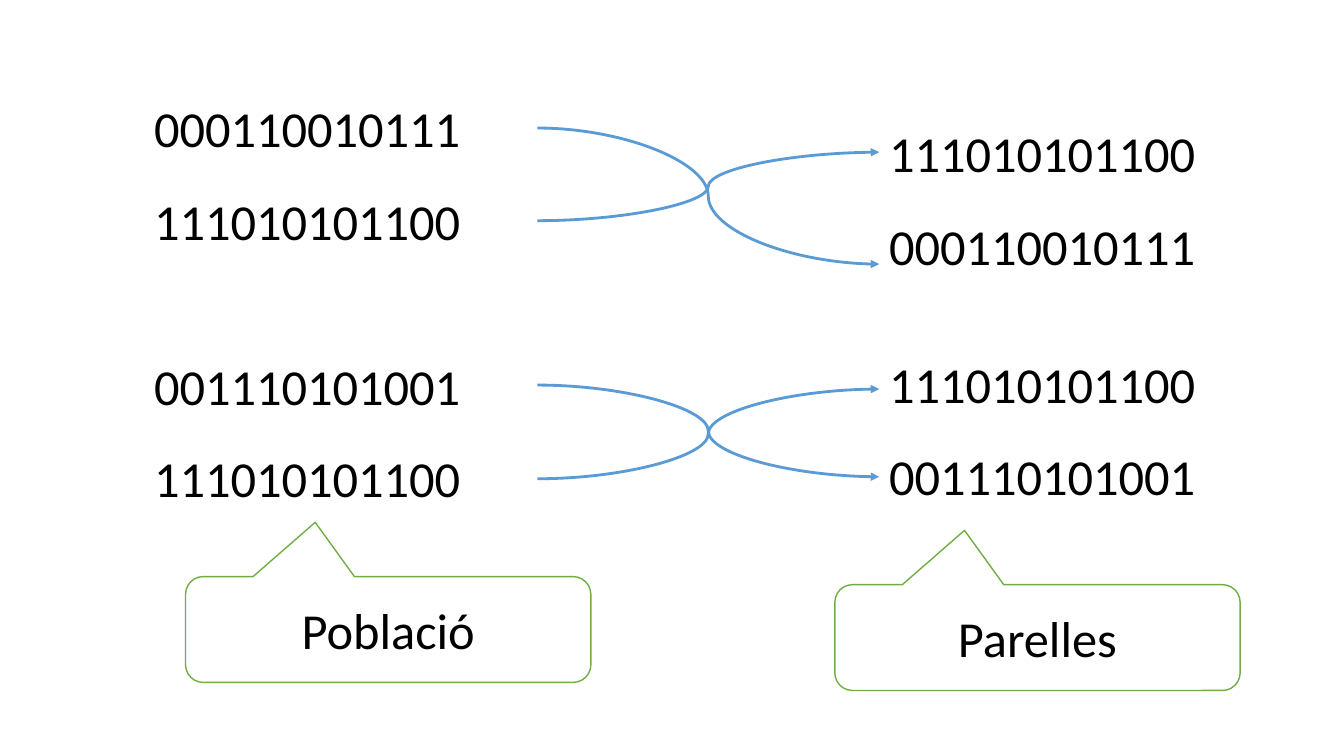
from lxml import etree
from pptx import Presentation
from pptx.dml.color import RGBColor
from pptx.enum.shapes import MSO_CONNECTOR, MSO_SHAPE
from pptx.enum.text import MSO_ANCHOR, MSO_AUTO_SIZE, PP_ALIGN
from pptx.oxml.ns import qn
from pptx.util import Emu, Pt

CURVE = MSO_CONNECTOR.CURVE
CALLOUT = MSO_SHAPE.ROUNDED_RECTANGULAR_CALLOUT
MIDDLE = MSO_ANCHOR.MIDDLE
GROW = MSO_AUTO_SIZE.SHAPE_TO_FIT_TEXT
LEFT, CENTER = PP_ALIGN.LEFT, PP_ALIGN.CENTER

SCALE = 9144
BLANK_LAYOUT = 6
COLORS = {"text": "000000", "arrow": "5B9BD5", "callout": "70AD47", "paper": "FFFFFF"}
FONT = {"name": "Calibri", "size": Pt(36)}
CALLOUT_SHAPE = (-0.18, -1.013, 0.167)

POPULATION_LEFT, COUPLES_LEFT = 143, 872
STRING_WIDTH, STRING_HEIGHT = 391, 71
ARROW_START, ARROW_END = 533, 872

POPULATION = [
    ("000110010111", 91), ("111010101100", 184),
    ("001110101001", 347), ("111010101100", 439),
]
COUPLES = [
    ("111010101100", 116), ("000110010111", 208),
    ("111010101100", 345), ("001110101001", 437),
]
ARROWS = [(127, 262), (475, 386), (382, 473), (219, 151)]
CALLOUTS = [("Població", 184, 572), ("Parelles", 828, 580)]


def px(length):
    """Turn px into EMU."""
    return Emu(length * SCALE)


def color(name):
    """Return a named colour."""
    return RGBColor.from_string(COLORS[name])


def write_text(shape, text, alignment):
    """Write one formatted paragraph into a shape."""
    paragraph = shape.text_frame.paragraphs[0]
    paragraph.alignment = alignment
    run = paragraph.add_run()
    run.text = text
    for attribute, value in FONT.items():
        setattr(run.font, attribute, value)
    run.font.color.rgb = color("text")


def add_bit_string(slide, text, left, top):
    """Add one bit string."""
    shape = slide.shapes.add_textbox(px(left), px(top), px(STRING_WIDTH), px(STRING_HEIGHT))
    shape.text_frame.word_wrap = True
    shape.text_frame.auto_size = GROW
    write_text(shape, text, LEFT)


def add_arrow(slide, start_top, end_top):
    """Add a curved arrow from the population to the couples."""
    connector = slide.shapes.add_connector(
        CURVE, px(ARROW_START), px(start_top), px(ARROW_END), px(end_top))
    connector.line.color.rgb = color("arrow")
    connector.line.width = Pt(2)
    properties = connector._element.spPr
    etree.SubElement(properties.find(qn("a:ln")), qn("a:tailEnd"), type="triangle")
    etree.SubElement(properties, qn("a:effectLst"))


def add_callout(slide, text, left, top):
    """Add a rounded callout that points up at a column."""
    shape = slide.shapes.add_shape(CALLOUT, px(left), px(top), px(402), px(105))
    for index, value in enumerate(CALLOUT_SHAPE):
        shape.adjustments[index] = value
    shape.shadow.inherit = False
    shape.fill.solid()
    shape.fill.fore_color.rgb = color("paper")
    shape.line.color.rgb = color("callout")
    shape.line.width = Pt(1)
    shape.text_frame.vertical_anchor = MIDDLE
    write_text(shape, text, CENTER)


def main():
    """Build the slide and save it."""
    presentation = Presentation()
    presentation.slide_width = px(1333)
    presentation.slide_height = px(750)
    slide = presentation.slides.add_slide(presentation.slide_layouts[BLANK_LAYOUT])
    for left, strings in ((POPULATION_LEFT, POPULATION), (COUPLES_LEFT, COUPLES)):
        for text, top in strings:
            add_bit_string(slide, text, left, top)
    for start_top, end_top in ARROWS:
        add_arrow(slide, start_top, end_top)
    for text, left, top in CALLOUTS:
        add_callout(slide, text, left, top)
    presentation.save("out.pptx")


if __name__ == "__main__":
    main()
